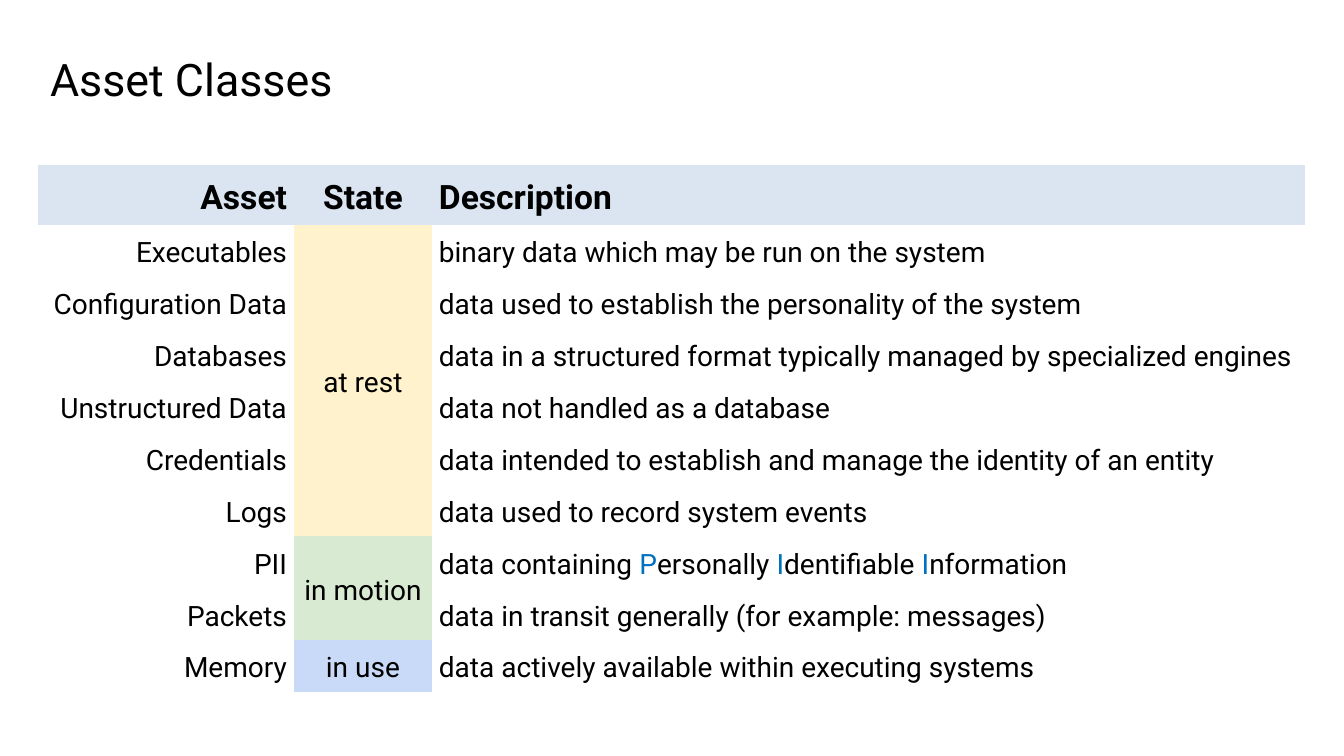
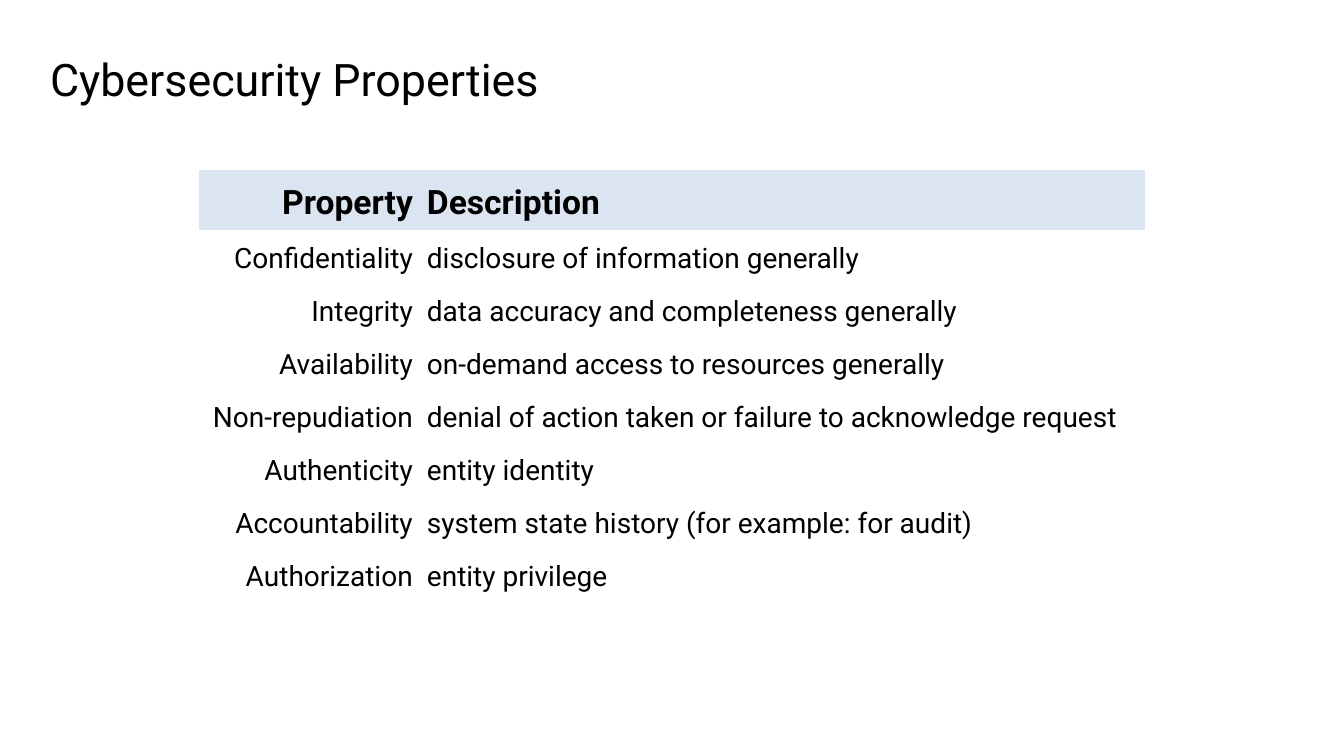
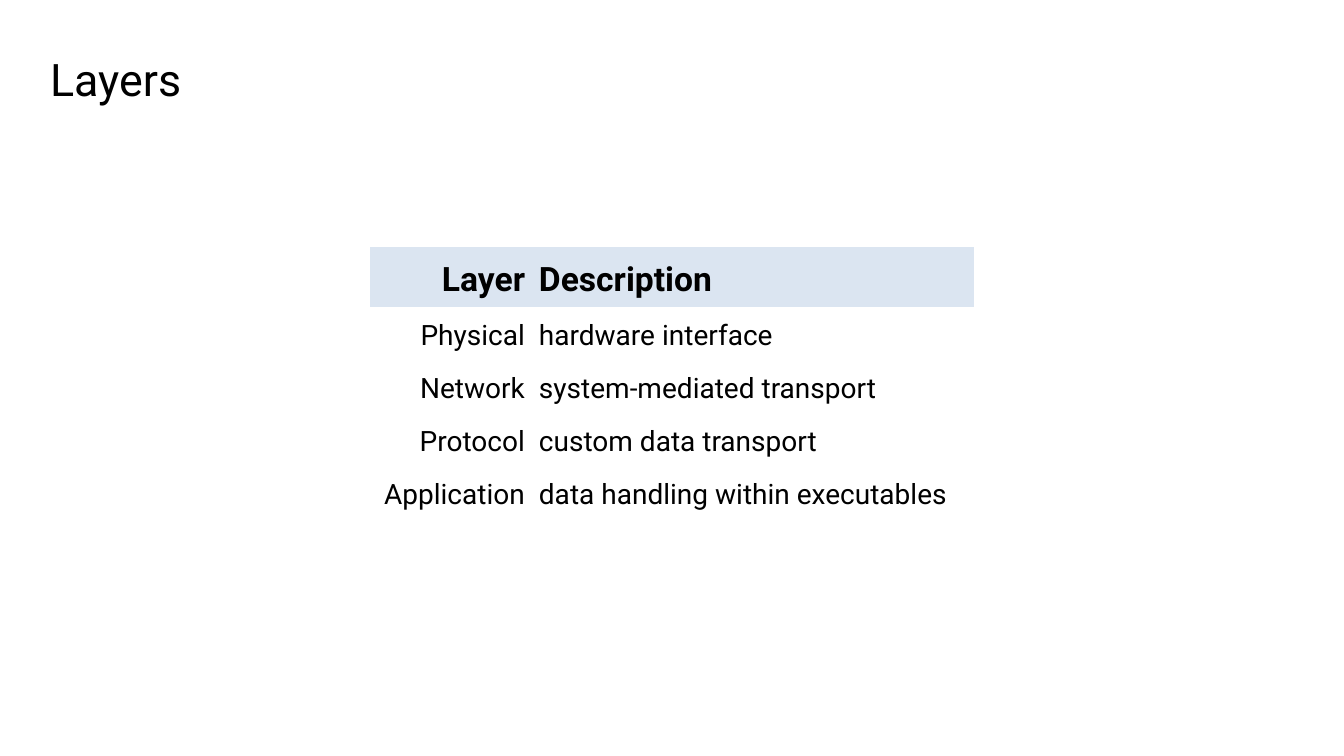
"""Build three cybersecurity reference slides, each a title and a table."""
import itertools

import pptx
import pptx.dml.color
import pptx.enum.text
import pptx.oxml.ns
import pptx.util

COLORS = {
    "text": "000000",
    "accent": "0070C0",
    "header": "DBE5F1",
    "at rest": "FFF2CC",
    "in motion": "D9EAD3",
    "in use": "C9DAF8",
}
FONT = "Roboto"
PX = 12192000 / 1344
HEADER_HEIGHT = 60
CELL_INSET = 7
NO_STYLE = "{2D5ABB26-0587-4C30-8999-92F81FD0307C}"
MIDDLE = pptx.enum.text.MSO_ANCHOR.MIDDLE
TOP = pptx.enum.text.MSO_ANCHOR.TOP
LEFT = pptx.enum.text.PP_ALIGN.LEFT
CENTER = pptx.enum.text.PP_ALIGN.CENTER
RIGHT = pptx.enum.text.PP_ALIGN.RIGHT
ALIGNS = {"State": CENTER, "Description": LEFT}

SLIDES = [
    {
        "title": "Asset Classes",
        "origin": (38, 165),
        "widths": (256, 138, 873),
        "row_height": 51,
        "headers": ("Asset", "State", "Description"),
        "rows": [
            ("Executables", "at rest", "binary data which may be run on the system"),
            ("Configuration Data", "at rest", "data used to establish the personality of the system"),
            ("Databases", "at rest", "data in a structured format typically managed by specialized engines"),
            ("Unstructured Data", "at rest", "data not handled as a database"),
            ("Credentials", "at rest", "data intended to establish and manage the identity of an entity"),
            ("Logs", "at rest", "data used to record system events"),
            ("PII", "in motion", "data containing *P*ersonally *I*dentifiable *I*nformation"),
            ("Packets", "in motion", "data in transit generally (for example: messages)"),
            ("Memory", "in use", "data actively available within executing systems"),
        ],
    },
    {
        "title": "Cybersecurity Properties",
        "origin": (199, 170),
        "widths": (221, 725),
        "row_height": 53,
        "headers": ("Property", "Description"),
        "rows": [
            ("Confidentiality", "disclosure of information generally"),
            ("Integrity", "data accuracy and completeness generally"),
            ("Availability", "on-demand access to resources generally"),
            ("Non-repudiation", "denial of action taken or failure to acknowledge request"),
            ("Authenticity", "entity identity"),
            ("Accountability", "system state history (for example: for audit)"),
            ("Authorization", "entity privilege"),
        ],
    },
    {
        "title": "Layers",
        "origin": (370, 247),
        "widths": (162, 442),
        "row_height": 53,
        "headers": ("Layer", "Description"),
        "rows": [
            ("Physical", "hardware interface"),
            ("Network", "system-mediated transport"),
            ("Protocol", "custom data transport"),
            ("Application", "data handling within executables"),
        ],
    },
]


def px(length):
    return pptx.util.Emu(round(length * PX))


def rgb(name):
    return pptx.dml.color.RGBColor.from_string(COLORS[name])


def write(tf, text, size=20, bold=False, align=LEFT, spacing=1.15):
    p = tf.paragraphs[0]
    p.alignment = align
    p.line_spacing = spacing
    for i, part in enumerate(text.split("*")):
        r = p.add_run()
        r.text = part
        r.font.name = FONT
        r.font.size = pptx.util.Pt(size)
        r.font.bold = bold
        r.font.color.rgb = rgb("accent" if i % 2 else "text")


def format_cell(cell, fill=None, anchor=MIDDLE):
    cell.margin_left = cell.margin_right = px(CELL_INSET)
    cell.margin_top = cell.margin_bottom = px(CELL_INSET)
    cell.vertical_anchor = anchor
    if fill:
        cell.fill.solid()
        cell.fill.fore_color.rgb = rgb(fill)
    else:
        cell.fill.background()


def add_title(s, text):
    sp = s.shapes.title
    sp.left, sp.top, sp.width, sp.height = map(px, (50, 50, 1243, 58))
    tf = sp.text_frame
    tf.margin_left = tf.margin_right = tf.margin_top = tf.margin_bottom = 0
    tf.vertical_anchor = MIDDLE
    write(tf, text, size=32, spacing=1.0)


def add_column(table, col, header, values):
    align = ALIGNS.get(header, RIGHT)
    head = table.cell(0, col)
    format_cell(head, fill="header", anchor=TOP)
    write(head.text_frame, header, size=24, bold=True, align=align)
    row = 1
    for text, group in itertools.groupby(values):
        count = len(list(group))
        for i in range(row, row + count):
            format_cell(table.cell(i, col), fill=text if header == "State" else None)
        cell = table.cell(row, col)
        if count > 1:
            cell.merge(table.cell(row + count - 1, col))
        write(cell.text_frame, text, align=align)
        row += count


def add_table(s, spec):
    widths, rows = spec["widths"], spec["rows"]
    heights = [HEADER_HEIGHT] + [spec["row_height"]] * len(rows)
    frame = s.shapes.add_table(
        len(heights), len(widths), *map(px, (*spec["origin"], sum(widths), sum(heights)))
    )
    for style in frame.element.iter(pptx.oxml.ns.qn("a:tableStyleId")):
        style.text = NO_STYLE
    table = frame.table
    table.first_row = table.horz_banding = False
    for row, height in zip(table.rows, heights):
        row.height = px(height)
    for col, (header, values) in enumerate(zip(spec["headers"], zip(*rows))):
        table.columns[col].width = px(widths[col])
        add_column(table, col, header, values)


def main():
    prs = pptx.Presentation()
    prs.slide_width, prs.slide_height = px(1344), px(756)
    for content in SLIDES:
        s = prs.slides.add_slide(prs.slide_layouts[5])
        add_title(s, content["title"])
        add_table(s, content)
    prs.save("out.pptx")


if __name__ == "__main__":
    main()
